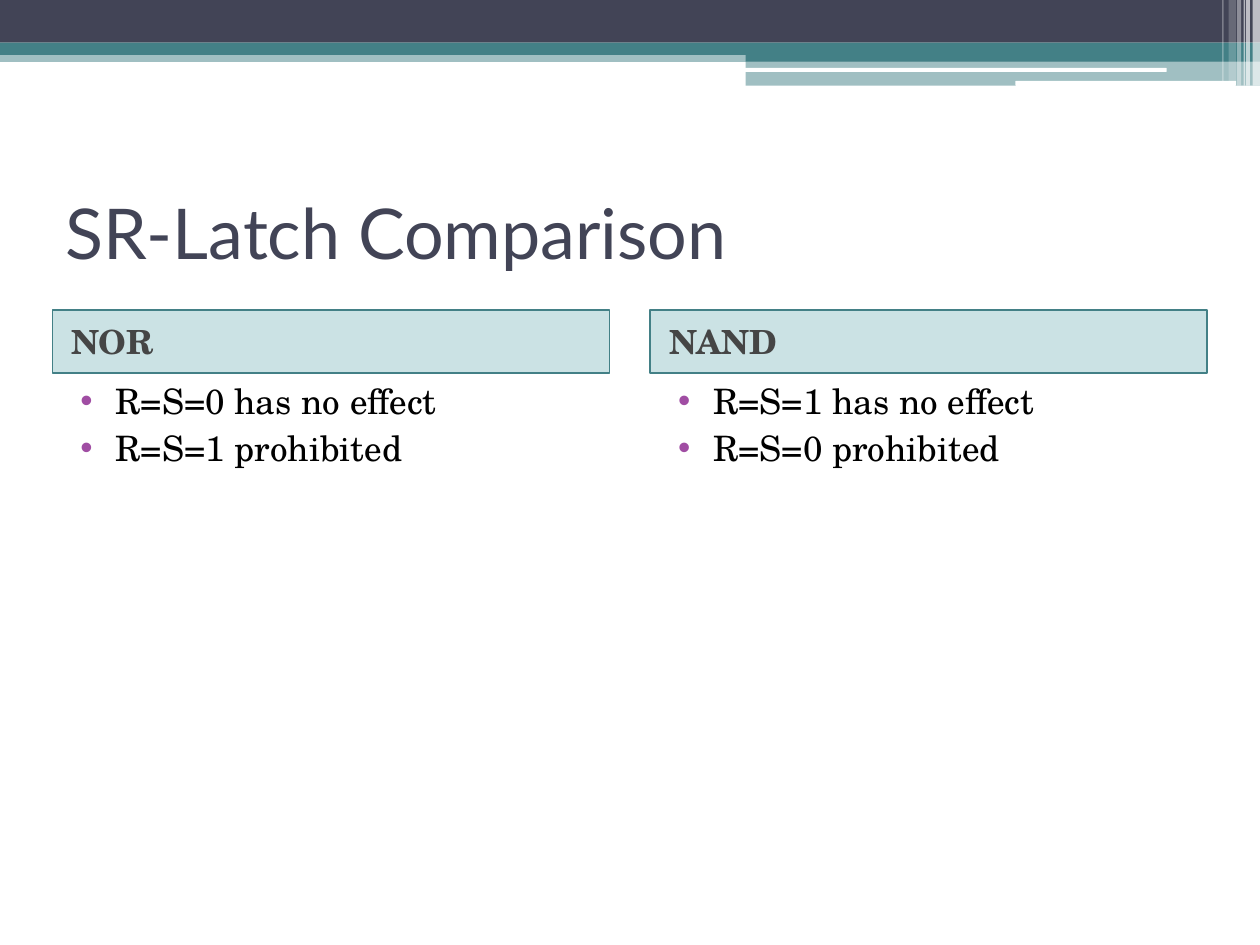
from lxml.etree import SubElement
from pptx import Presentation
from pptx.dml.color import RGBColor
from pptx.enum.shapes import MSO_SHAPE
from pptx.enum.text import MSO_ANCHOR, PP_ALIGN
from pptx.oxml.ns import qn
from pptx.util import Cm, Pt

TITLE = "SR-Latch Comparison"
COLUMNS = [
    ("NOR", ["R=S=0 has no effect", "R=S=1 prohibited"]),
    ("NAND", ["R=S=1 has no effect", "R=S=0 prohibited"]),
]

THEME = {
    "navy": "424456", "teal": "438086", "white": "FFFFFF", "heading": "328E97",
    "heading text": "454545", "body text": "000000", "bullet": "A04DA3",
    "title font": "Lato", "body font": "TeX Gyre Schola",
    "title size": 40, "heading size": 19, "body size": 20,
}

# Header bands: left, top, width, height in cm, colour, opacity in percent
BANDS = [
    (0, 1.02, 25.4, 0.23, "teal", 50),
    (0, 0, 25.4, 0.86, "navy", 100),
    (0, 0.86, 25.4, 0.25, "teal", 100),
    (15.03, 0.99, 10.37, 0.25, "teal", 100),
    (15.03, 1.23, 10.37, 0.5, "teal", 50),
]
# White rounded rules: left, top, width, height in cm
RULES = [(15.01, 1.37, 8.51, 0.08), (20.47, 1.63, 4.45, 0.1)]
# White stripes at the right edge: left, width, height in cm, opacity
STRIPES = [
    (25.25, 0.15, 1.73, 65), (25.12, 0.08, 1.73, 65), (25.07, 0.03, 1.73, 60),
    (24.94, 0.08, 1.73, 40), (24.77, 0.15, 1.63, 20), (24.64, 0.03, 1.63, 30),
]

PAGE_WIDTH, PAGE_HEIGHT = 25.4, 19.05
MARGIN, COLUMN_WIDTH = 1.06, 11.23
HEADING_TOP, HEADING_HEIGHT, BODY_HEIGHT = 6.25, 1.27, 10.8


def colour(name):
    return RGBColor.from_string(THEME[name])


def assign(target, values):
    for name, value in values.items():
        setattr(target, name, value)


def add_block(page, place, fill, opacity=100, kind=MSO_SHAPE.RECTANGLE):
    """Add a filled shape without outline or shadow; place is in cm."""
    block = page.shapes.add_shape(kind, *map(Cm, place))
    block.shadow.inherit = False
    block.fill.solid()
    block.fill.fore_color.rgb = colour(fill)
    block.line.fill.background()
    if opacity < 100:
        tint = block.fill._xPr.find(qn("a:solidFill"))[0]
        SubElement(tint, qn("a:alpha"), val=str(opacity * 1000))
    return block


def set_indent(para, left, hanging=0):
    properties = para._p.get_or_add_pPr()
    properties.set("marL", str(Cm(left)))
    properties.set("indent", str(-Cm(hanging)))
    return properties


def add_bullet(para):
    properties = set_indent(para, 1.02, 0.71)
    tint = SubElement(properties, qn("a:buClr"))
    SubElement(tint, qn("a:srgbClr"), val=THEME["bullet"])
    SubElement(properties, qn("a:buFont"), typeface="Arial")
    SubElement(properties, qn("a:buChar"), char="•")


def write(para, text, role, font, bold=False):
    span = para.add_run()
    span.text = text
    para.alignment = PP_ALIGN.LEFT
    assign(span.font, {"name": THEME[font], "size": Pt(THEME[f"{role} size"]),
                       "bold": bold})
    span.font.color.rgb = colour("navy" if role == "title" else f"{role} text")


def add_header(page):
    for *place, fill, opacity in BANDS:
        add_block(page, place, fill, opacity)
    for place in RULES:
        add_block(page, place, "white", kind=MSO_SHAPE.ROUNDED_RECTANGLE)
    for left, width, height, opacity in STRIPES:
        add_block(page, (left, 0, width, height), "white", opacity)


def add_title(page):
    box = page.shapes.title
    assign(box, {"left": Cm(MARGIN), "top": Cm(3.18),
                 "width": Cm(PAGE_WIDTH - 2 * MARGIN), "height": Cm(2.97)})
    assign(box.text_frame, {"vertical_anchor": MSO_ANCHOR.MIDDLE,
                            "word_wrap": True})
    write(box.text_frame.paragraphs[0], TITLE, "title", "title font")


def add_column(page, left, heading, points):
    place = (left, HEADING_TOP, COLUMN_WIDTH, HEADING_HEIGHT)
    bar = add_block(page, place, "heading", 25)
    bar.line.color.rgb = colour("teal")
    bar.line.width = Pt(1)
    bar.text_frame.vertical_anchor = MSO_ANCHOR.MIDDLE
    para = bar.text_frame.paragraphs[0]
    set_indent(para, 0.13)
    write(para, heading, "heading", "body font", bold=True)

    place = (left, HEADING_TOP + HEADING_HEIGHT, COLUMN_WIDTH, BODY_HEIGHT)
    frame = page.shapes.add_textbox(*map(Cm, place)).text_frame
    frame.word_wrap = True
    for index, point in enumerate(points):
        para = frame.add_paragraph() if index else frame.paragraphs[0]
        add_bullet(para)
        if index:
            para.space_before = Pt(3)
        write(para, point, "body", "body font")


def main():
    deck = Presentation()
    assign(deck, {"slide_width": Cm(PAGE_WIDTH),
                  "slide_height": Cm(PAGE_HEIGHT)})
    page = deck.slides.add_slide(deck.slide_layouts[5])
    add_header(page)
    add_title(page)
    step = PAGE_WIDTH - 2 * MARGIN - COLUMN_WIDTH
    for index, (heading, points) in enumerate(COLUMNS):
        add_column(page, MARGIN + index * step, heading, points)
    deck.save("out.pptx")


if __name__ == "__main__":
    main()
